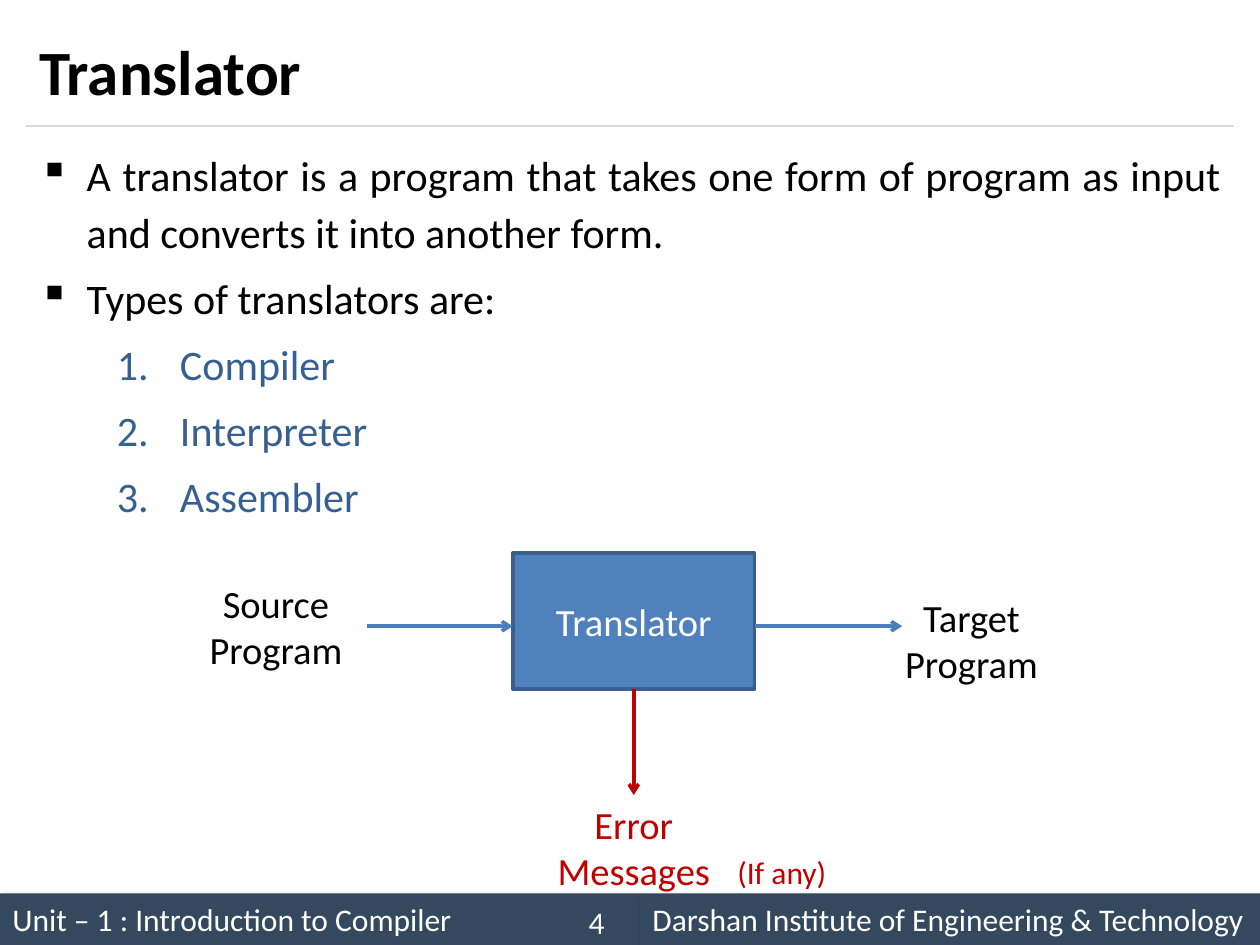
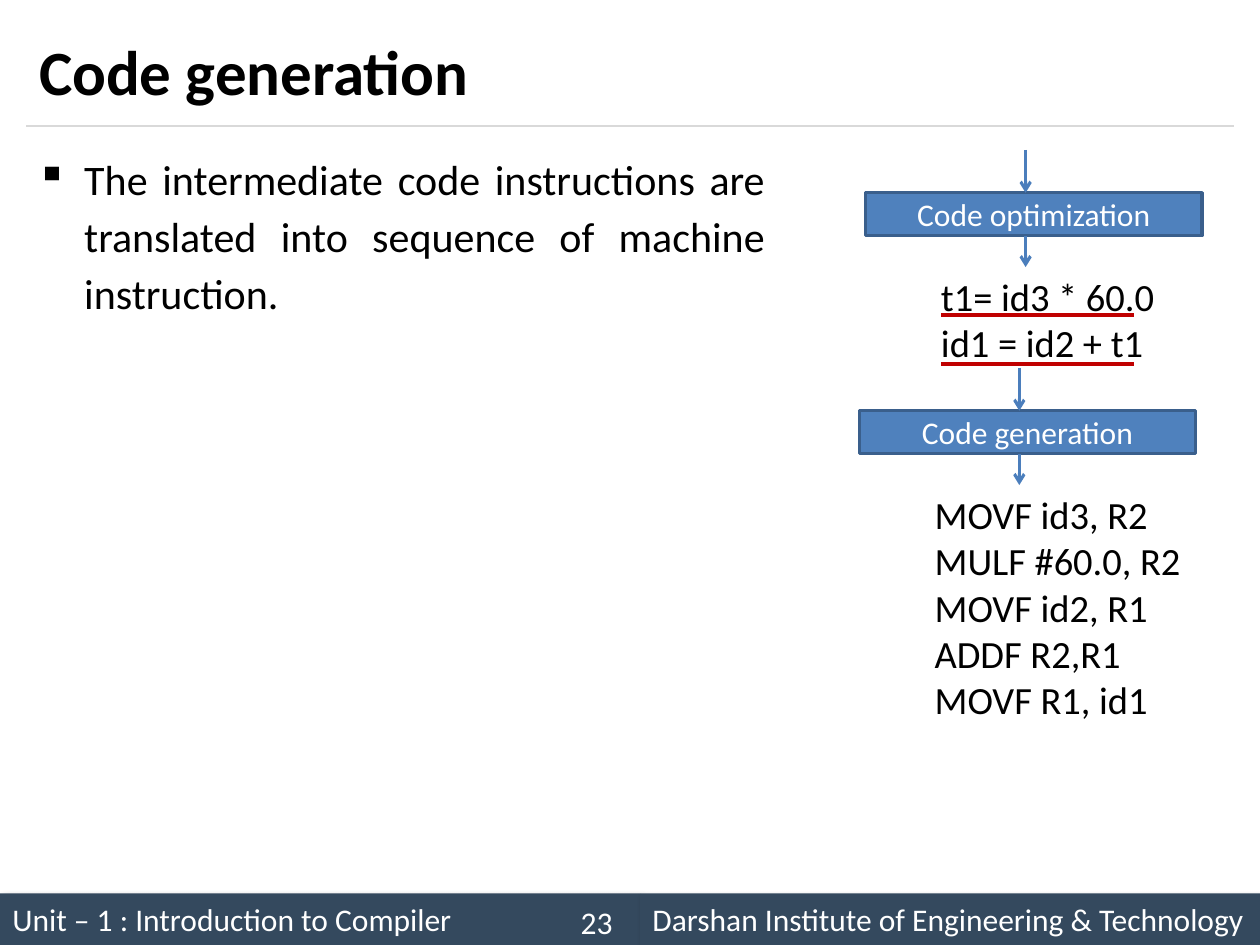
import dataclasses
import typing

import lxml.etree
import pptx
import pptx.dml.color
import pptx.enum.shapes
import pptx.enum.text
import pptx.oxml.ns
import pptx.util

Inches = pptx.util.Inches
Pt = pptx.util.Pt
Align = pptx.enum.text.PP_ALIGN
Anchor = pptx.enum.text.MSO_ANCHOR
qn = pptx.oxml.ns.qn


@dataclasses.dataclass(frozen=True)
class Theme:
    font: str = "Calibri"
    black: str = "000000"
    white: str = "FFFFFF"
    rule: str = "D9D9D9"
    band: str = "34495E"
    box: str = "4F81BD"
    box_edge: str = "3A5F8C"
    arrow: str = "4B7EBC"
    listing: str = "376092"
    red: str = "C00000"
    title_size: float = 36
    body_size: float = 24
    label_size: float = 22
    small_size: float = 18


THEME = Theme()


@dataclasses.dataclass(frozen=True)
class Label:
    lines: tuple[str, ...]
    left: float
    top: float
    width: float
    height: float
    size: float = THEME.label_size
    color: str = THEME.black
    fill: str | None = None
    edge: str | None = None
    align: Align = Align.CENTER
    anchor: Anchor = Anchor.MIDDLE
    indent: float = 0


@dataclasses.dataclass(frozen=True)
class Line:
    start: tuple[float, float]
    end: tuple[float, float]
    color: str = THEME.arrow
    width: float = 2
    arrow: bool = True


@dataclasses.dataclass(frozen=True)
class Item:
    text: str
    numbered: bool = False


BANDS = (
    Label(("Unit – 1 : Introduction to Compiler",), 0, 7.09, 5.08, 0.41,
          THEME.small_size, THEME.white, THEME.band, align=Align.LEFT),
    Label(("Darshan Institute of Engineering & Technology",), 5.08, 7.09, 4.92, 0.41,
          THEME.small_size, THEME.white, THEME.band, align=Align.LEFT),
)
RULE = Line((0.21, 1), (9.79, 1), THEME.rule, 0.75, False)


def rgb(color: str) -> pptx.dml.color.RGBColor:
    return pptx.dml.color.RGBColor.from_string(color)


def apply_format(target: typing.Any, values: dict[str, typing.Any]) -> None:
    for name, value in values.items():
        setattr(target, name, value)


def add_span(para: typing.Any, text: str, size: float, color: str, bold: bool = False) -> None:
    span = para.add_run()
    span.text = text
    apply_format(span.font, {"name": THEME.font, "size": Pt(size), "bold": bold})
    span.font.color.rgb = rgb(color)


def set_indent(para: typing.Any, left: float, first: float = 0) -> typing.Any:
    properties = para._p.get_or_add_pPr()
    properties.set("marL", str(Inches(left)))
    properties.set("indent", str(Inches(first)))
    return properties


def paragraphs(frame: typing.Any, count: int) -> list[typing.Any]:
    return [frame.paragraphs[0]] + [frame.add_paragraph() for _ in range(count - 1)]


def draw_label(page: typing.Any, label: Label) -> typing.Any:
    place = [Inches(value) for value in (label.left, label.top, label.width, label.height)]
    if label.fill:
        box = page.shapes.add_shape(pptx.enum.shapes.MSO_SHAPE.RECTANGLE, *place)
        box.shadow.inherit = False
        box.fill.solid()
        box.fill.fore_color.rgb = rgb(label.fill)
        if label.edge:
            box.line.color.rgb = rgb(label.edge)
            box.line.width = Pt(2)
        else:
            box.line.fill.background()
    else:
        box = page.shapes.add_textbox(*place)
    apply_format(box.text_frame, {"word_wrap": True, "vertical_anchor": label.anchor})
    for para, text in zip(paragraphs(box.text_frame, len(label.lines)), label.lines):
        para.alignment = label.align
        if label.indent:
            set_indent(para, label.indent)
        add_span(para, text, label.size, label.color)
    return box


def draw_line(page: typing.Any, line: Line) -> typing.Any:
    ends = [Inches(value) for value in (*line.start, *line.end)]
    connector = page.shapes.add_connector(pptx.enum.shapes.MSO_CONNECTOR.STRAIGHT, *ends)
    connector.line.color.rgb = rgb(line.color)
    connector.line.width = Pt(line.width)
    if line.arrow:
        lxml.etree.SubElement(connector.line._get_or_add_ln(), qn("a:tailEnd"), type="arrow")
    lxml.etree.SubElement(connector._element.spPr, qn("a:effectLst"))
    return connector


def cast_shadow(box: typing.Any) -> None:
    effects = box._element.spPr.find(qn("a:effectLst"))
    shadow = lxml.etree.SubElement(
        effects, qn("a:outerShdw"), blurRad=str(Pt(4)), dist=str(Pt(3)),
        dir=str(45 * 60000), algn="tl", rotWithShape="0")
    color = lxml.etree.SubElement(shadow, qn("a:srgbClr"), val=THEME.black)
    lxml.etree.SubElement(color, qn("a:alpha"), val="40000")


def draw_body(page: typing.Any, place: tuple[float, ...], items: tuple[Item, ...]) -> None:
    box = page.shapes.add_textbox(*[Inches(value) for value in place])
    box.text_frame.word_wrap = True
    for index, (para, item) in enumerate(zip(paragraphs(box.text_frame, len(items)), items)):
        if item.numbered:
            properties = set_indent(para, 1.12, -0.5)
            lxml.etree.SubElement(properties, qn("a:buAutoNum"), type="arabicPeriod")
        else:
            properties = set_indent(para, 0.38, -0.38)
            lxml.etree.SubElement(properties, qn("a:buChar"), char="▪")
        apply_format(para, {
            "alignment": Align.JUSTIFY,
            "line_spacing": 1.14,
            "space_before": Pt(0.2 * THEME.body_size if index else 0),
        })
        add_span(para, item.text, THEME.body_size,
                 THEME.listing if item.numbered else THEME.black)


def start_page(deck: typing.Any, heading: str, number: int) -> typing.Any:
    page = deck.slides.add_slide(deck.slide_layouts.get_by_name("Title Only"))
    title = page.shapes.title
    apply_format(title, {"left": Inches(0.21), "top": Inches(0.12),
                         "width": Inches(9.58), "height": Inches(0.88)})
    title.text_frame.vertical_anchor = Anchor.MIDDLE
    para = title.text_frame.paragraphs[0]
    para.alignment = Align.LEFT
    add_span(para, heading, THEME.title_size, THEME.black, True)
    draw_line(page, RULE)
    for band in BANDS:
        cast_shadow(draw_label(page, band))
    draw_label(page, Label((str(number),), 4.39, 7.12, 0.69, 0.4,
                           THEME.small_size, THEME.white))
    return page


def build_translator(deck: typing.Any) -> None:
    page = start_page(deck, "Translator", 4)
    kinds = ("Compiler", "Interpreter", "Assembler")
    draw_body(page, (0.21, 1.08, 9.58, 5.83), (
        Item("A translator is a program that takes one form of program as input "
             "and converts it into another form."),
        Item("Types of translators are:"),
        *(Item(kind, True) for kind in kinds),
    ))
    translator = draw_label(page, Label(
        ("Translator",), 4.07, 4.39, 1.92, 1.08,
        color=THEME.white, fill=THEME.box, edge=THEME.box_edge))
    for label in (
        Label(("Source Program",), 1.23, 4.43, 1.92, 1.08),
        Label(("Target Program",), 6.75, 4.54, 1.92, 1.08),
        Label(("Error", "Messages"), 4.07, 6.18, 1.92, 1.08, color=THEME.red),
        Label(("(If any)",), 5.7, 6.71, 1.01, 0.42, THEME.small_size, THEME.red),
    ):
        draw_label(page, label)
    draw_line(page, Line((2.91, 4.97), (4.07, 4.97)))
    draw_line(page, Line((5.99, 4.97), (7.16, 4.97)))
    errors = draw_line(page, Line((5.03, 5.47), (5.03, 6.31), THEME.red))
    errors.begin_connect(translator, 2)


def draw_phase(page: typing.Any, name: str, left: float, top: float,
               code: tuple[str, ...], code_height: float) -> None:
    height = 0.34
    bottom = top + height
    middle = left + 1.27
    draw_label(page, Label((name,), left, top, 2.67, height, THEME.small_size,
                           THEME.white, THEME.box, THEME.box_edge))
    for start, end in ((top - 0.34, top), (bottom, bottom + 0.25)):
        draw_line(page, Line((middle, start), (middle, end), width=1.75))
    draw_label(page, Label(code, left - 1.5, bottom + 0.25, 4.17, code_height,
                           align=Align.LEFT, anchor=Anchor.TOP, indent=2))


def build_code_generation(deck: typing.Any) -> None:
    page = start_page(deck, "Code generation", 23)
    draw_body(page, (0.19, 1.11, 5.98, 5.89), (
        Item("The intermediate code instructions are translated into "
             "sequence of machine instruction."),
    ))
    draw_phase(page, "Code generation", 6.82, 3.26,
               ("MOVF id3, R2", "MULF #60.0, R2", "MOVF id2, R1",
                "ADDF R2,R1", "MOVF R1, id1"), 1.52)
    draw_phase(page, "Code optimization", 6.87, 1.53,
               ("t1= id3 * 60.0", "id1 = id2 + t1"), 0.93)
    for top in (2.5, 2.89):
        draw_line(page, Line((7.47, top), (9, top), THEME.red, arrow=False))


def main() -> None:
    deck = pptx.Presentation()
    apply_format(deck, {"slide_width": Inches(10), "slide_height": Inches(7.5)})
    build_translator(deck)
    build_code_generation(deck)
    deck.save("out.pptx")


if __name__ == "__main__":
    main()
